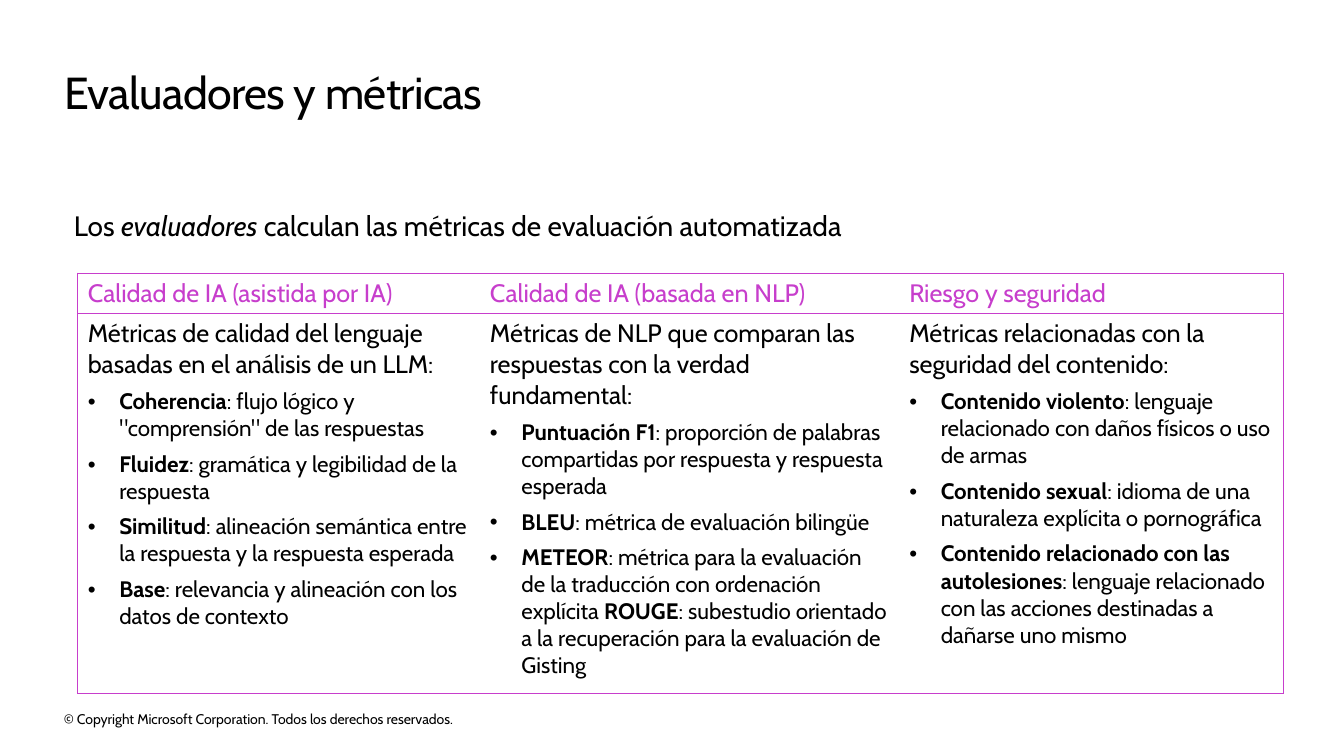
from pptx import Presentation
from pptx.dml.color import RGBColor
from pptx.enum.text import MSO_ANCHOR, MSO_AUTO_SIZE, PP_ALIGN
from pptx.oxml.ns import qn
from pptx.util import Pt
from lxml.etree import SubElement, Element

FONT = "Cabin"
COLORS = {"text": "000000", "accent": "C73ECC", "cell": "FFFFFF"}
COLUMN_WIDTHS = [287.3, 299.5, 274.3]
ROW_HEIGHTS = [27.4, 271.4]
BULLET_INDENT = 22.5

CATEGORIES = [
    ("Calidad de IA (asistida por IA)",
     "Métricas de calidad del lenguaje basadas en el análisis de un LLM:",
     [["Coherencia", ': flujo lógico y "comprensión" de las respuestas'],
      ["Fluidez", ": gramática y legibilidad de la respuesta"],
      ["Similitud", ": alineación semántica entre la respuesta y la respuesta esperada"],
      ["Base", ": relevancia y alineación con los datos de contexto"]]),
    ("Calidad de IA (basada en NLP)",
     "Métricas de NLP que comparan las respuestas con la verdad fundamental:",
     [["Puntuación F1", ": proporción de palabras compartidas por respuesta y respuesta esperada"],
      ["BLEU", ": métrica de evaluación bilingüe"],
      ["METEOR", ": métrica para la evaluación de la traducción con ordenación explícita ",
       "ROUGE", ": subestudio orientado a la recuperación para la evaluación de Gisting"]]),
    ("Riesgo y seguridad",
     "Métricas relacionadas con la seguridad del contenido:",
     [["Contenido violento", ": lenguaje relacionado con daños físicos o uso de armas"],
      ["Contenido sexual", ": idioma de una naturaleza explícita o pornográfica"],
      ["Contenido relacionado con las autolesiones",
       ": lenguaje relacionado con las acciones destinadas a dañarse uno mismo"]]),
]


def style_run(run, size, color="text", bold=False, italic=False):
    run.font.name = FONT
    run.font.size = Pt(size)
    run.font.bold = bold
    run.font.italic = italic
    run.font.color.rgb = RGBColor.from_string(COLORS[color])


def place(shape, left, top, width, height, anchor=MSO_ANCHOR.TOP):
    shape.left, shape.top = Pt(left), Pt(top)
    shape.width, shape.height = Pt(width), Pt(height)
    frame = shape.text_frame
    frame.margin_left = frame.margin_right = 0
    frame.margin_top = frame.margin_bottom = 0
    frame.word_wrap = True
    frame.vertical_anchor = anchor
    return frame


def write_line(frame, text, size):
    frame.text = text
    line = frame.paragraphs[0]
    line.alignment = PP_ALIGN.LEFT
    style_run(line.runs[0], size)
    return line


def add_title(slide):
    frame = place(slide.shapes.title, 46, 46, 867, 38.5)
    frame.auto_size = MSO_AUTO_SIZE.SHAPE_TO_FIT_TEXT
    heading = write_line(frame, "Evaluadores y métricas", 32)
    heading.runs[0].font._element.set("spc", "-50")


def add_lead(slide):
    frame = place(slide.placeholders[1], 52.8, 148.6, 867, 24)
    frame.auto_size = MSO_AUTO_SIZE.SHAPE_TO_FIT_TEXT
    lead = frame.paragraphs[0]
    properties = lead._p.get_or_add_pPr()
    properties.set("marL", "0")
    properties.set("indent", "0")
    SubElement(properties, qn("a:buNone"))
    lead.space_before = Pt(0)
    for text, italic in [("Los ", False), ("evaluadores", True),
                         (" calculan las métricas de evaluación automatizada", False)]:
        run = lead.add_run()
        run.text = text
        style_run(run, 20, italic=italic)


def add_bullet(frame, parts):
    bullet = frame.add_paragraph()
    properties = bullet._p.get_or_add_pPr()
    properties.set("marL", str(Pt(BULLET_INDENT)))
    properties.set("indent", str(-Pt(BULLET_INDENT)))
    SubElement(properties, qn("a:buFont"), typeface="Arial")
    SubElement(properties, qn("a:buChar"), char="•")
    bullet.space_after = Pt(6)
    for position, text in enumerate(parts):
        run = bullet.add_run()
        run.text = text
        style_run(run, 16, bold=position % 2 == 0)


def set_borders(cell, visible_sides):
    properties = cell._tc.get_or_add_tcPr()
    for position, side in enumerate("LRTB"):
        border = Element(qn(f"a:ln{side}"), w=str(Pt(0.75)))
        if side in visible_sides:
            fill = SubElement(border, qn("a:solidFill"))
            SubElement(fill, qn("a:srgbClr"), val=COLORS["accent"])
        else:
            SubElement(border, qn("a:noFill"))
        properties.insert(position, border)


def fill_cell(cell, text, color, sides):
    cell.text = text
    style_run(cell.text_frame.paragraphs[0].runs[0], 18, color)
    cell.fill.solid()
    cell.fill.fore_color.rgb = RGBColor.from_string(COLORS["cell"])
    set_borders(cell, sides)


def add_metrics_table(slide):
    table = slide.shapes.add_table(
        len(ROW_HEIGHTS), len(COLUMN_WIDTHS), Pt(55.5), Pt(195),
        Pt(sum(COLUMN_WIDTHS)), Pt(sum(ROW_HEIGHTS))).table
    table.first_row = table.horz_banding = False
    for row, height in zip(table.rows, ROW_HEIGHTS):
        row.height = Pt(height)
    outer_sides = ["L", "", "R"]
    for index, (heading, summary, metrics) in enumerate(CATEGORIES):
        table.columns[index].width = Pt(COLUMN_WIDTHS[index])
        fill_cell(table.cell(0, index), heading, "accent", outer_sides[index] + "TB")
        details = table.cell(1, index)
        fill_cell(details, summary, "text", outer_sides[index] + "TB")
        details.text_frame.paragraphs[0].space_after = Pt(6)
        for parts in metrics:
            add_bullet(details.text_frame, parts)


def add_copyright(slide):
    notice = slide.shapes.add_textbox(0, 0, 0, 0)
    frame = place(notice, 45.6, 505.6, 327, 16, MSO_ANCHOR.MIDDLE)
    write_line(frame, "© Copyright Microsoft Corporation. Todos los derechos reservados.", 10)


def main():
    deck = Presentation()
    deck.slide_width, deck.slide_height = Pt(960), Pt(540)
    slide = deck.slides.add_slide(deck.slide_layouts[1])
    add_title(slide)
    add_lead(slide)
    add_metrics_table(slide)
    add_copyright(slide)
    deck.save("out.pptx")


if __name__ == "__main__":
    main()
